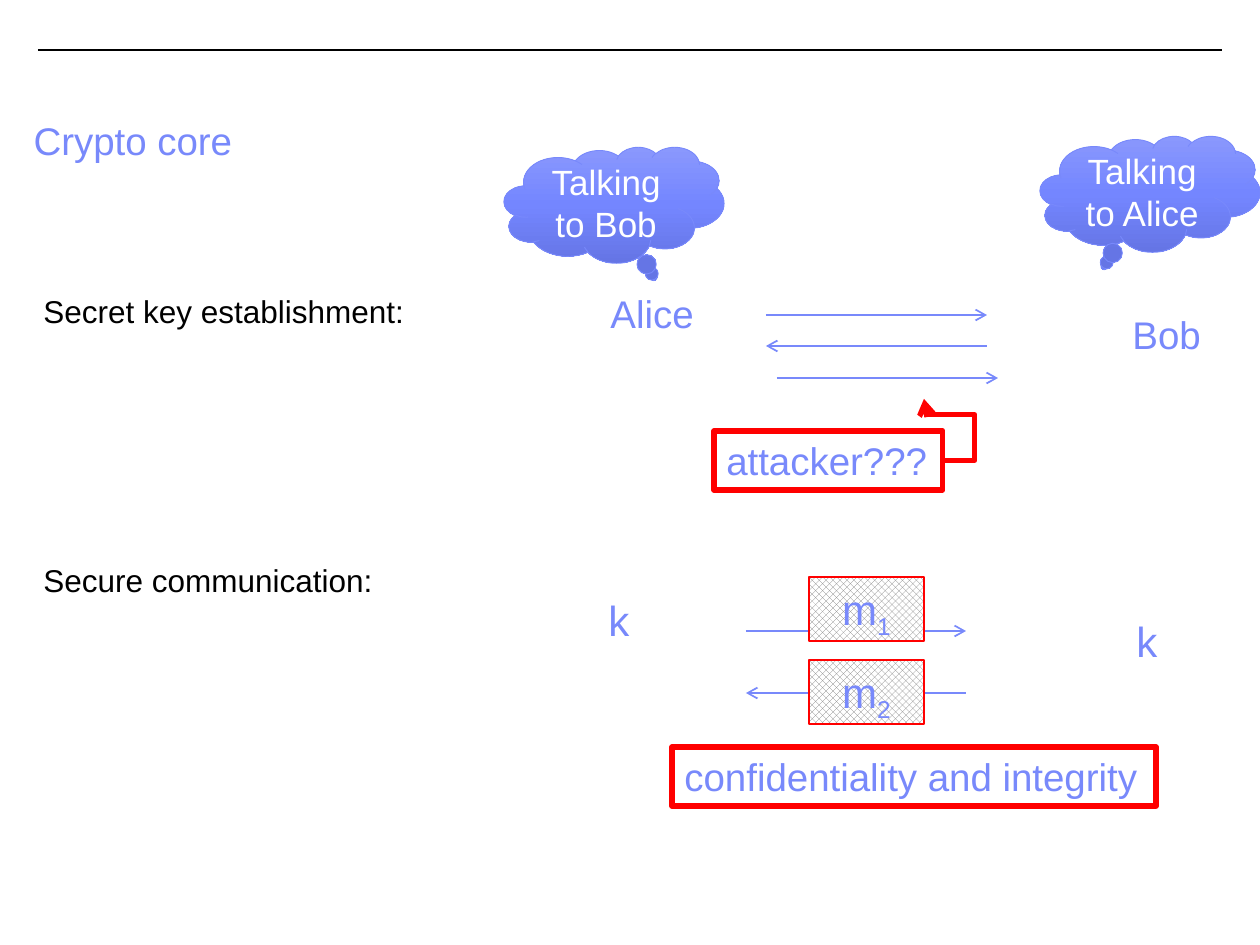
from copy import deepcopy

from pptx import Presentation
from pptx.dml.color import RGBColor
from pptx.enum.dml import MSO_PATTERN
from pptx.enum.shapes import MSO_CONNECTOR as Connector, MSO_SHAPE as Shape
from pptx.enum.text import MSO_ANCHOR as Anchor, PP_ALIGN as Align
from pptx.oxml.ns import qn
from pptx.util import Emu, Pt
from lxml.etree import SubElement

BLUE = RGBColor(0x78, 0x89, 0xFB)
RED = RGBColor(0xFF, 0x00, 0x00)
GRAY = RGBColor(0x80, 0x80, 0x80)
BLACK = RGBColor(0x00, 0x00, 0x00)
WHITE = RGBColor(0xFF, 0xFF, 0xFF)
CLOUD_STOPS = [(0, RGBColor(0x8A, 0x98, 0xFD)), (0.5, RGBColor(0x74, 0x86, 0xFF)),
               (1, RGBColor(0x65, 0x75, 0xE5))]

# Content: places are left, top, width, height in px
TITLE = ("Crypto core", (21, 116, 1134, 118))
STEPS = (["Secret key establishment:", "Secure communication:"], (31, 286, 1228, 428))
STEP_GAP = 132  # points between the two steps
RULE = (38, 50, 1222, 50)
ARROWS = [  # from x, y, to x, y
    (987, 346, 766, 346), (766, 315, 987, 315), (777, 378, 998, 378),
    (966, 693, 746, 693), (746, 631, 966, 631),
]
LABELS = [  # text, size, place
    ("k", 24, (596, 588, 47, 63)),
    ("k", 24, (1124, 609, 47, 63)),
    ("Alice", 22, (598, 284, 110, 59)),
    ("Bob", 22, (1120, 305, 95, 59)),
]
ATTACKER = ("attacker???", (714, 431, 229, 59))
ATTACK_TIP = (924, 399)
ATTACK_BENDS = {"adj1": -166800, "adj2": 74300}
GOALS = ("confidentiality and integrity", (672, 747, 484, 59))
MESSAGES = [("m", "1", (809, 577, 115, 64)), ("m", "2", (809, 660, 115, 64))]
CLOUDS = [  # text, place, pointer offset from the centre
    ("Talking to Alice", (1040, 136, 220, 116), (-0.208, 0.625)),
    ("Talking to Bob", (504, 147, 220, 116), (0.181, 0.625)),
]


def px(*lengths):
    return [Emu(round(length * 914400 / 126)) for length in lengths]


def add_run(paragraph, text, size, color):
    run = paragraph.add_run()
    run.text = text
    for name, value in {"name": "Arial", "size": Pt(size)}.items():
        setattr(run.font, name, value)
    run.font.color.rgb = color
    return run


def add_label(text, size, place):
    frame = slide.shapes.add_textbox(*px(*place)).text_frame
    frame.word_wrap = False
    add_run(frame.paragraphs[0], text, size, BLUE)


def add_box(kind, place, line_color, line_width, **frame_format):
    shape = slide.shapes.add_shape(kind, *px(*place))
    shape.shadow.inherit = False
    shape.fill.background()
    shape.line.color.rgb = line_color
    shape.line.width = Pt(line_width)
    for name, value in frame_format.items():
        setattr(shape.text_frame, name, value)
    return shape


def add_red_box(text, place):
    box = add_box(Shape.RECTANGLE, place, RED, 3, word_wrap=False,
                  vertical_anchor=Anchor.TOP)
    box.text_frame.paragraphs[0].alignment = Align.LEFT
    add_run(box.text_frame.paragraphs[0], text, 22, BLUE)
    return box


def add_line(ends, color, width, arrow=True, kind=Connector.STRAIGHT):
    line = slide.shapes.add_connector(kind, *px(*ends))
    line.line.color.rgb = color
    line.line.width = Pt(width)
    if arrow:
        SubElement(line.line._get_or_add_ln(), qn("a:tailEnd"), type="arrow")
    SubElement(line._element.spPr, qn("a:effectLst"))
    return line


presentation = Presentation()
presentation.slide_width, presentation.slide_height = px(1260, 945)
slide = presentation.slides.add_slide(presentation.slide_layouts[5])

# Rule, title and steps
add_line(RULE, BLACK, 0.75, arrow=False)
text, place = TITLE
title = slide.shapes.title
for name, value in zip(("left", "top", "width", "height"), px(*place)):
    setattr(title, name, value)
title.text_frame.vertical_anchor = Anchor.TOP
paragraph = title.text_frame.paragraphs[0]
paragraph.alignment = Align.LEFT
paragraph.line_spacing = 0.9
add_run(paragraph, text, 22, BLUE)

steps, place = STEPS
frame = slide.shapes.add_textbox(*px(*place)).text_frame
frame.word_wrap = True
for index, step in enumerate(steps):
    paragraph = frame.add_paragraph() if index else frame.paragraphs[0]
    if index:
        paragraph.space_before = Pt(STEP_GAP)
    add_run(paragraph, step, 18, BLACK)

# Exchanges between the two parties
for ends in ARROWS:
    add_line(ends, BLUE, 1)
for label in LABELS:
    add_label(*label)

# Attacker with a bent arrow to the exchange
attacker = add_red_box(*ATTACKER)
left, top, width, height = ATTACKER[1]
attack = add_line((left + width, top + height / 2, *ATTACK_TIP), RED, 3,
                  kind=Connector.ELBOW)
attack.begin_connect(attacker, 3)
geometry = attack._element.spPr.find(qn("a:prstGeom"))
geometry.set("prst", "bentConnector4")
for name, value in ATTACK_BENDS.items():
    SubElement(geometry.find(qn("a:avLst")), qn("a:gd"), name=name, fmla=f"val {value}")

# Protected messages
add_red_box(*GOALS)
for letter, number, place in MESSAGES:
    message = add_box(Shape.RECTANGLE, place, RED, 0.75, vertical_anchor=Anchor.TOP)
    message.fill.patterned()
    message.fill.pattern = MSO_PATTERN.OUTLINED_DIAMOND
    message.fill.fore_color.rgb = GRAY
    message.fill.back_color.rgb = WHITE
    paragraph = message.text_frame.paragraphs[0]
    paragraph.alignment = Align.CENTER
    add_run(paragraph, letter, 24, BLUE)
    subscript = add_run(paragraph, number, 24, BLUE)
    subscript._r.get_or_add_rPr().set("baseline", "-25000")

# Thought clouds
for text, place, pointer in CLOUDS:
    cloud = add_box(Shape.CLOUD_CALLOUT, place, BLUE, 0.5, word_wrap=True,
                    vertical_anchor=Anchor.MIDDLE)
    for index, offset in enumerate(pointer):
        cloud.adjustments[index] = offset
    cloud.fill.gradient()
    cloud.fill.gradient_angle = 270
    stop_list = cloud._element.spPr.find(qn("a:gradFill")).find(qn("a:gsLst"))
    stop_list.append(deepcopy(stop_list[0]))
    for stop, (position, color) in zip(cloud.fill.gradient_stops, CLOUD_STOPS):
        stop.position = position
        stop.color.rgb = color
    paragraph = cloud.text_frame.paragraphs[0]
    paragraph.alignment = Align.CENTER
    add_run(paragraph, text, 20, WHITE)

presentation.save("out.pptx")
